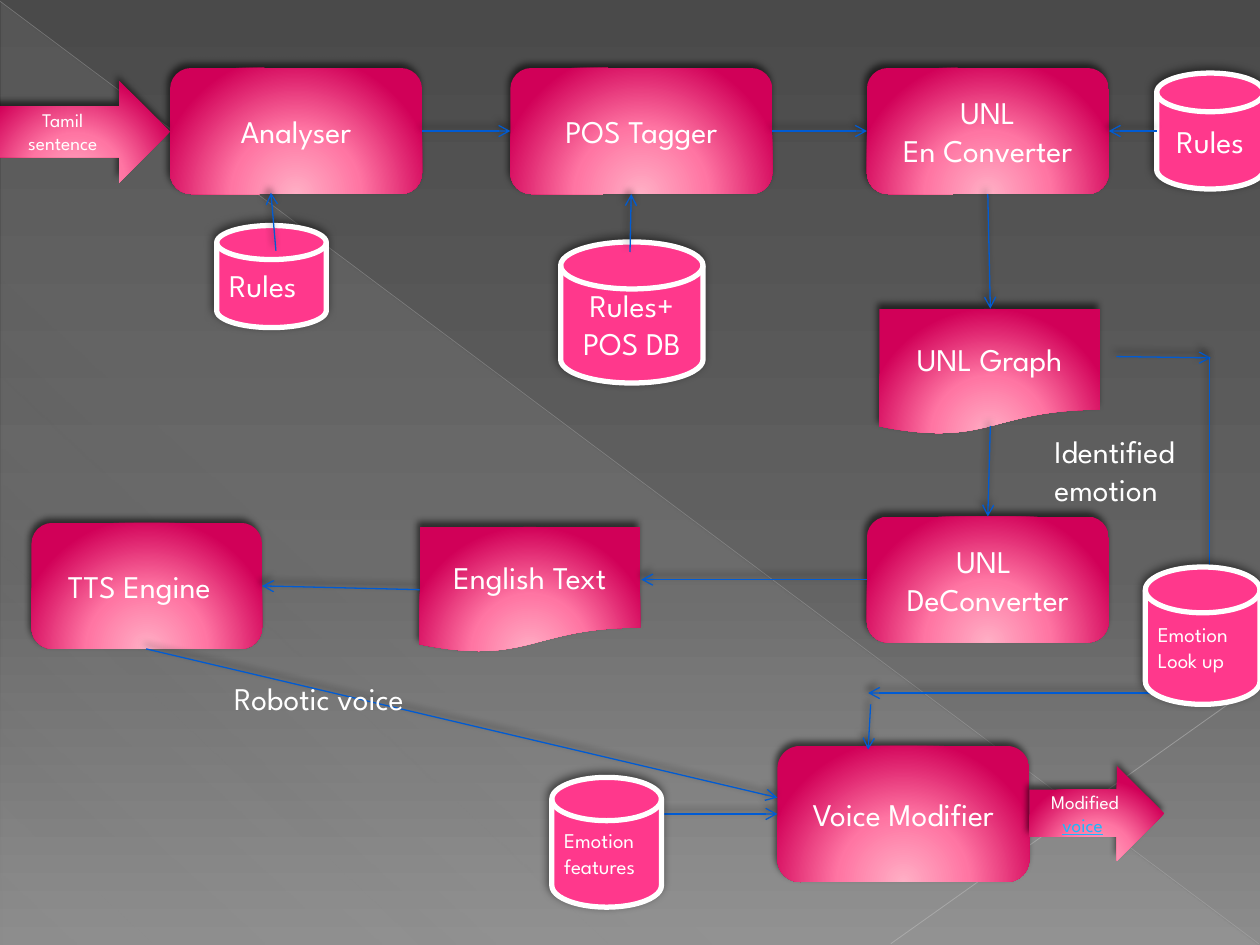
from lxml.etree import SubElement
from pptx import Presentation
from pptx.dml.color import RGBColor
from pptx.enum.shapes import MSO_CONNECTOR, MSO_SHAPE
from pptx.enum.text import MSO_ANCHOR, PP_ALIGN
from pptx.oxml.ns import qn
from pptx.util import Inches, Pt

FONT = "League Spartan"
WHITE, PINK, BLUE, LINK = "FFFFFF", "FF388C", "005BD3", "17BBFD"
ROSE = [(0, "FFAFC5", 100), (46, "FF75A3", 100), (100, "D10058", 100)]
GREY = [(0, "4A4A4A", 100), (60, "626262", 100), (100, "8C8C8C", 100)]
VEIL = [(0, "D2D2D2", 10), (70, "D2D2D2", 8), (100, "D2D2D2", 1)]
ROUND, SHEET = MSO_SHAPE.ROUNDED_RECTANGLE, MSO_SHAPE.FLOWCHART_DOCUMENT
ARROW, DISK = MSO_SHAPE.RIGHT_ARROW, MSO_SHAPE.FLOWCHART_MAGNETIC_DISK
CENTER, LEFT = PP_ALIGN.CENTER, PP_ALIGN.LEFT


def colour(value):
    return RGBColor.from_string(value)


def add(parent, tag, **values):
    return SubElement(parent, qn(tag), {key: str(value) for key, value in values.items()})


def add_colour(parent, value, alpha):
    node = add(parent, "a:srgbClr", val=value)
    if alpha < 100:
        add(node, "a:alpha", val=alpha * 1000)


def gradient(fill, parent, stops, angle=None):
    """Linear at an angle, or else a circle glowing from below."""
    fill.gradient()
    node = parent.find(qn("a:gradFill"))
    for child in list(node):
        node.remove(child)
    group = add(node, "a:gsLst")
    for place, value, alpha in stops:
        add_colour(add(group, "a:gs", pos=place * 1000), value, alpha)
    if angle is not None:
        add(node, "a:lin", ang=angle * 60000, scaled=0)
    else:
        circle = add(node, "a:path", **{"path": "circle"})
        add(circle, "a:fillToRect", l=50000, t=155000, r=50000, b=-55000)


def shadow(shape, alpha=60, blur=4, distance=3):
    effects = shape.element.spPr.find(qn("a:effectLst"))
    outer = add(effects, "a:outerShdw", blurRad=Pt(blur), dist=Pt(distance),
                dir=245 * 60000, algn="tl", rotWithShape=0)
    add_colour(outer, "000000", alpha)


def write(shape, paragraphs, size, align):
    """A paragraph is a string or a list of (text, format values)."""
    frame = shape.text_frame
    for number, content in enumerate(paragraphs):
        para = frame.add_paragraph() if number else frame.paragraphs[0]
        para.alignment = align
        for text, changes in [(content, {})] if isinstance(content, str) else content:
            span = para.add_run()
            span.text = text
            span.font.color.rgb = colour(changes.get("color", WHITE))
            values = {"name": FONT, "size": Pt(size), "underline": changes.get("underline")}
            for name, value in values.items():
                setattr(span.font, name, value)


def add_shape(page, kind, at):
    shape = page.shapes.add_shape(kind, *map(Inches, at))
    shape.shadow.inherit = False
    shape.line.fill.background()
    return shape


def add_box(page, kind, at, paragraphs, size=18):
    box = add_shape(page, kind, at)
    gradient(box.fill, box.element.spPr, ROSE)
    shadow(box)
    box.text_frame.vertical_anchor = MSO_ANCHOR.MIDDLE
    write(box, paragraphs, size, CENTER)


def add_store(page, at, paragraphs, size=18, align=CENTER):
    store = add_shape(page, DISK, at)
    store.fill.solid()
    store.fill.fore_color.rgb = colour(PINK)
    store.line.color.rgb = colour(WHITE)
    store.line.width = Pt(3)
    shadow(store, 50, 5, 2)
    store.text_frame.vertical_anchor = MSO_ANCHOR.MIDDLE
    write(store, paragraphs, size, align)


def add_label(page, at, paragraphs):
    label = page.shapes.add_textbox(*map(Inches, at))
    label.text_frame.word_wrap = False
    write(label, paragraphs, 18, LEFT)


def add_line(page, ends, value, width):
    line = page.shapes.add_connector(MSO_CONNECTOR.STRAIGHT, *map(Inches, ends))
    line.line.color.rgb = colour(value)
    line.line.width = Pt(width)
    add(line.element.spPr, "a:effectLst")
    return line


def add_flow(page, ends):
    flow = add_line(page, ends, BLUE, 0.75)
    add(flow.element.spPr.find(qn("a:ln")), "a:tailEnd", type="arrow")
    shadow(flow)


def add_backdrop(page):
    fill = page.background.fill
    fill.solid()
    gradient(fill, page.element.cSld.find(qn("p:bg")).find(qn("p:bgPr")), GREY, 90)
    veil = add_shape(page, MSO_SHAPE.RIGHT_TRIANGLE, (0.01, 0.02, 9.98, 7.48))
    gradient(veil.fill, veil.element.spPr, VEIL, 133)
    for ends, value, width, alpha in [((0, 0.01, 9.99, 7.49), "BFBFBF", 0.39, 35),
                                      ((10, 5.41, 7.07, 7.49), "C6C6C6", 0.47, 45)]:
        line = add_line(page, ends, value, width)
        add(next(line.element.iter(qn("a:srgbClr"))), "a:alpha", val=alpha * 1000)


def add_pipeline(page):
    # Processing steps and documents
    for kind, at, paragraphs in [
        (ROUND, (1.35, 0.54, 2, 1), ["Analyser"]),
        (ROUND, (4.05, 0.54, 2.08, 1), ["POS Tagger"]),
        (ROUND, (6.88, 0.54, 1.92, 1), ["UNL", "En Converter"]),
        (SHEET, (6.98, 2.45, 1.75, 1), ["UNL Graph"]),
        (ROUND, (6.88, 4.1, 1.92, 1), ["UNL ", "DeConverter"]),
        (SHEET, (3.33, 4.18, 1.75, 1), ["English Text"]),
        (ROUND, (0.25, 4.15, 1.83, 1), []),
        (ROUND, (6.17, 5.92, 2, 1.08), ["Voice Modifier"]),
    ]:
        add_box(page, kind, at, paragraphs)
    # Input and output
    add_box(page, ARROW, (-0.15, 0.64, 1.5, 0.81), ["Tamil", "sentence"], 11)
    voice = [("Modified ", {}), ("voice", {"color": LINK, "underline": True}), (" ", {})]
    add_box(page, ARROW, (8.17, 6.08, 1.07, 0.75), [voice], 11)
    # Rule stores
    add_store(page, (1.72, 1.79, 0.87, 0.81), ["Rules"], align=LEFT)
    add_store(page, (4.45, 1.92, 1.13, 1.12), ["Rules+", "POS DB"])
    add_store(page, (9.18, 0.58, 0.85, 0.92), ["Rules"])
    # Flow between the parts
    for ends in [
        (3.35, 1.04, 4.05, 1.04), (6.13, 1.04, 6.88, 1.04), (9.18, 1.04, 8.8, 1.04),
        (2.19, 1.99, 2.15, 1.53), (5, 2, 5.01, 1.54), (7.84, 1.54, 7.86, 2.45),
        (7.86, 3.38, 7.84, 4.1), (6.88, 4.6, 5.09, 4.6), (3.33, 4.68, 2.08, 4.65),
        (1.16, 5.15, 6.17, 6.33), (5.24, 6.46, 6.17, 6.46), (8.86, 2.83, 9.61, 2.84),
        (9.6, 2.83, 9.6, 5.5), (9.58, 5.5, 6.89, 5.5), (6.91, 5.59, 6.89, 5.95),
    ]:
        add_flow(page, ends)
    # Labels and emotion stores
    add_label(page, (0.44, 4.45, 1.44, 0.4), ["TTS Engine"])
    add_label(page, (1.76, 5.34, 1.91, 0.4), ["Robotic voice"])
    add_label(page, (8.27, 3.38, 1.43, 0.71), ["Identified ", "emotion"])
    add_store(page, (4.38, 6.17, 0.87, 1.03), ["Emotion", "features"], 12, LEFT)
    add_store(page, (9.09, 4.5, 0.91, 1.09), ["Emotion", "Look up"], 12, LEFT)


deck = Presentation()
deck.slide_width, deck.slide_height = Inches(10), Inches(7.5)
slide = deck.slides.add_slide(deck.slide_layouts[6])
add_backdrop(slide)
add_pipeline(slide)
deck.save("out.pptx")
